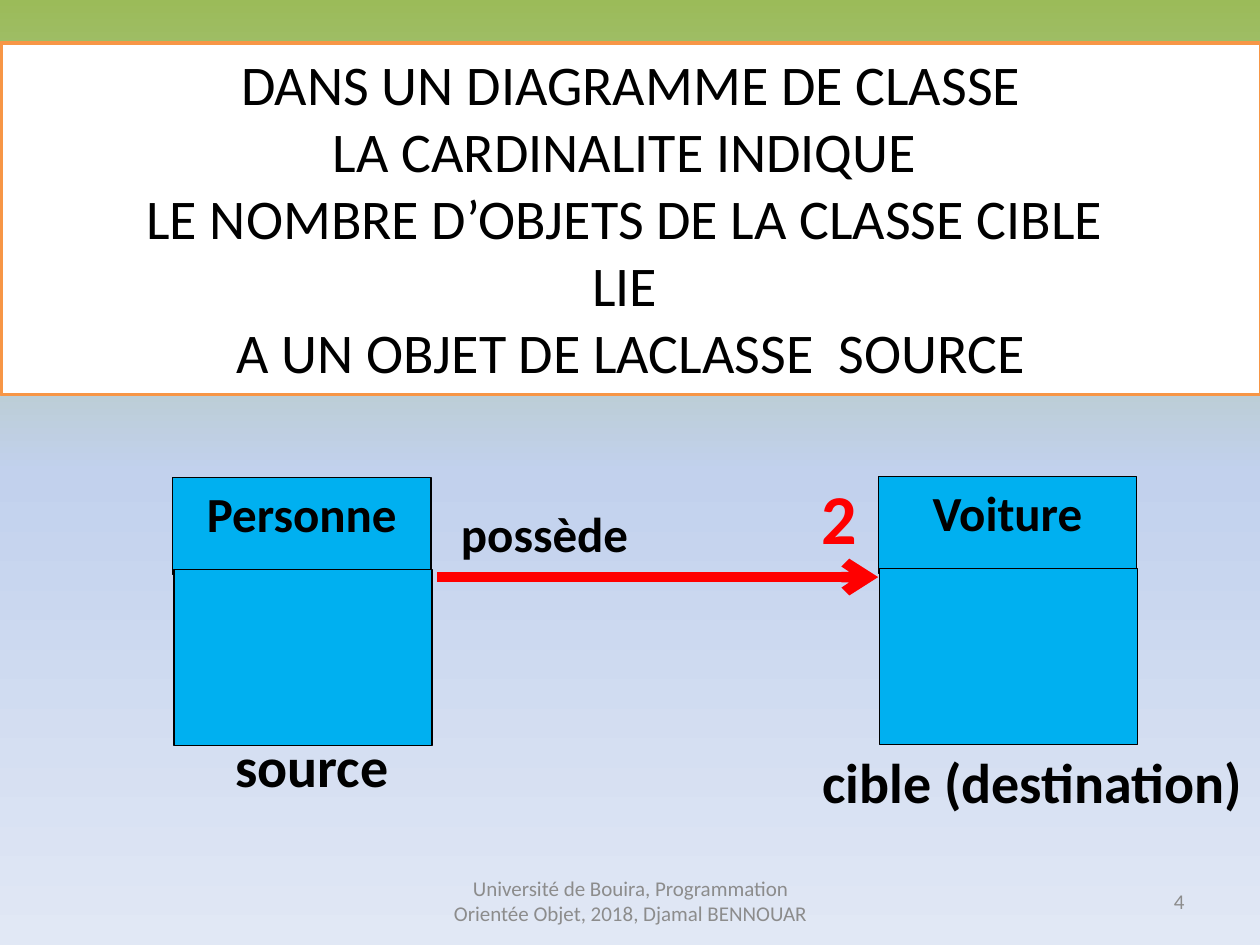
"""Build a slide explaining cardinality in a class diagram."""
from copy import deepcopy

from lxml.etree import SubElement
from pptx import Presentation
from pptx.dml.color import RGBColor
from pptx.enum.shapes import MSO_CONNECTOR, MSO_SHAPE
from pptx.enum.text import MSO_ANCHOR, PP_ALIGN
from pptx.oxml.ns import qn
from pptx.util import Inches, Pt

BLACK = RGBColor(0x00, 0x00, 0x00)
WHITE = RGBColor(0xFF, 0xFF, 0xFF)
RED = RGBColor(0xFF, 0x00, 0x00)
GREY = RGBColor(0x8C, 0x8C, 0x8C)
ORANGE = RGBColor(0xF7, 0x96, 0x46)
CLASS_BLUE = RGBColor(0x00, 0xB0, 0xF0)
GREEN = RGBColor(0x9B, 0xBB, 0x59)
MID_BLUE = RGBColor(0xC2, 0xD1, 0xED)
PALE_BLUE = RGBColor(0xE1, 0xE8, 0xF5)


def write(shape, text, size=32, color=BLACK, bold=False,
          align=PP_ALIGN.CENTER, anchor=MSO_ANCHOR.TOP):
    frame = shape.text_frame
    frame.word_wrap = True
    frame.vertical_anchor = anchor
    frame.text = text
    for paragraph in frame.paragraphs:
        paragraph.alignment = align
        font = paragraph.font
        font.name = "Calibri"
        font.size = Pt(size)
        font.bold = bold
        font.color.rgb = color


def add_box(left, top, width, height, fill, line, line_width):
    box = slide.shapes.add_shape(
        MSO_SHAPE.RECTANGLE, Inches(left), Inches(top), Inches(width), Inches(height))
    box.shadow.inherit = False
    box.fill.solid()
    box.fill.fore_color.rgb = fill
    box.line.color.rgb = line
    box.line.width = Pt(line_width)
    return box


prs = Presentation()
prs.slide_width = Inches(10)
prs.slide_height = Inches(7.5)
slide = prs.slides.add_slide(prs.slide_layouts[6])

backdrop = slide.background.fill
backdrop.gradient()
backdrop.gradient_angle = 270
stop_list = slide.element.find(".//" + qn("a:gsLst"))
stop_list.insert(1, deepcopy(stop_list[0]))
for stop, position, color in zip(
        backdrop.gradient_stops, (0, 0.5, 1), (GREEN, MID_BLUE, PALE_BLUE)):
    stop.position = position
    stop.color.rgb = color

definition = add_box(0.01, 0.34, 10, 2.79, WHITE, ORANGE, 2)
write(definition, "\n".join([
    "DANS UN DIAGRAMME DE CLASSE",
    "LA CARDINALITE INDIQUE ",
    "LE NOMBRE D’OBJETS DE LA CLASSE CIBLE ",
    "LIE ",
    "A UN OBJET DE LACLASSE  SOURCE",
]))

association = slide.shapes.add_connector(
    MSO_CONNECTOR.STRAIGHT, Inches(3.47), Inches(4.58), Inches(6.97), Inches(4.58))
association.line.color.rgb = RED
association.line.width = Pt(6)
SubElement(association.line._get_or_add_ln(), qn("a:tailEnd"), type="arrow")
SubElement(association.element.spPr, qn("a:effectLst"))

footer = dict(size=12, color=GREY, anchor=MSO_ANCHOR.MIDDLE)
labels = [
    ("Université de Bouira, Programmation Orientée Objet, 2018, Djamal BENNOUAR",
     3.42, 6.95, 3.17, 0.4, footer),
    ("4", 7.17, 6.95, 2.33, 0.4, dict(footer, align=PP_ALIGN.RIGHT)),
    ("possède", 3.56, 3.95, 2.38, 0.57, dict(size=28, bold=True, align=PP_ALIGN.LEFT)),
    ("2", 6.42, 3.72, 0.81, 0.77,
     dict(size=40, color=RED, bold=True, align=PP_ALIGN.LEFT)),
    ("source ", 0.3, 5.76, 4.45, 0.64, dict(bold=True)),
    ("cible (destination)", 6.39, 5.88, 3.61, 0.64, dict(bold=True)),
]
for text, left, top, width, height, style in labels:
    label = slide.shapes.add_textbox(
        Inches(left), Inches(top), Inches(width), Inches(height))
    write(label, text, **style)

for class_name, left, top in [("Personne", 1.37, 3.79), ("Voiture", 6.97, 3.78)]:
    header = add_box(left, top, 2.05, 0.77, CLASS_BLUE, BLACK, 0.75)
    write(header, class_name, size=28, bold=True)
    add_box(left + 0.01, top + 0.73, 2.05, 1.4, CLASS_BLUE, BLACK, 0.75)

prs.save("out.pptx")
